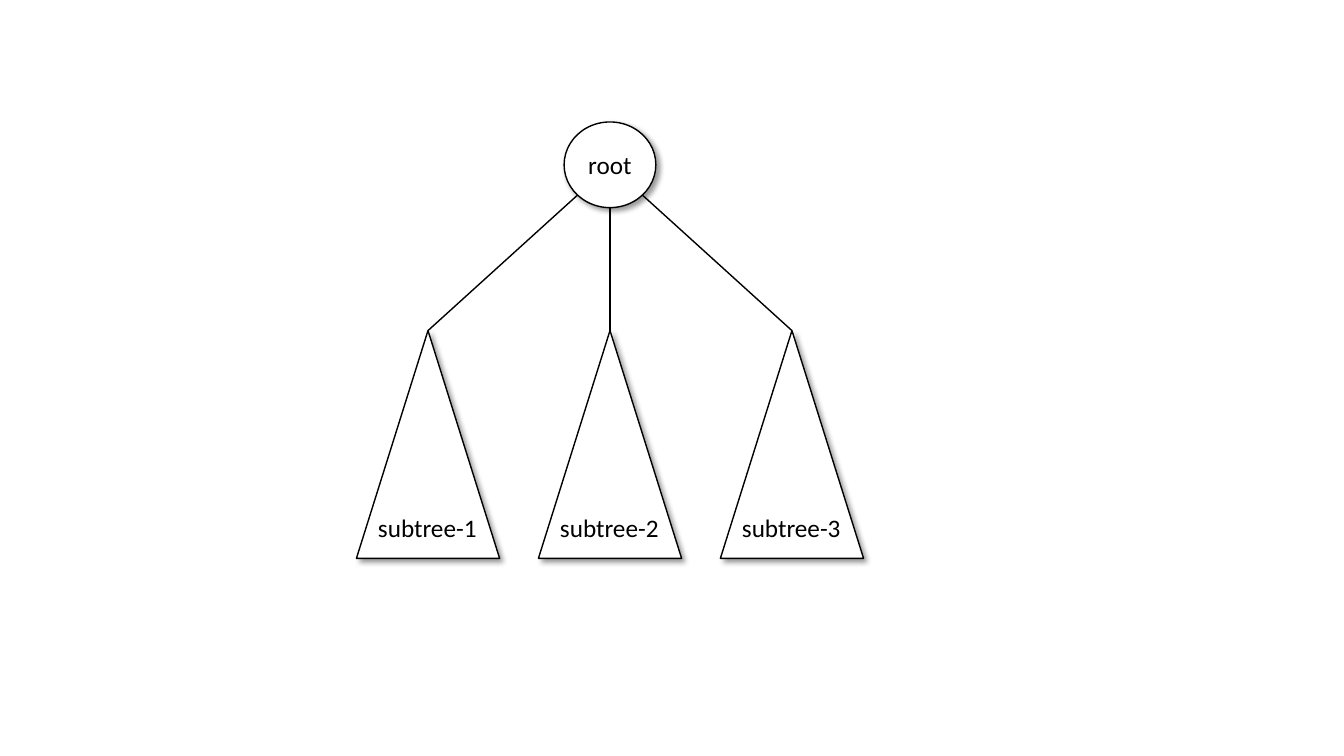
"""Draw a root node joined to three subtrees."""
from lxml import etree
from pptx import Presentation
from pptx.dml.color import RGBColor
from pptx.enum.shapes import MSO_CONNECTOR, MSO_SHAPE
from pptx.enum.text import MSO_ANCHOR, MSO_AUTO_SIZE, PP_ALIGN
from pptx.oxml import parse_xml
from pptx.oxml.ns import nsdecls, qn
from pptx.util import Inches, Pt

OVAL, TRIANGLE = MSO_SHAPE.OVAL, MSO_SHAPE.ISOSCELES_TRIANGLE
STRAIGHT = MSO_CONNECTOR.STRAIGHT
MIDDLE, CENTER, LEFT = MSO_ANCHOR.MIDDLE, PP_ALIGN.CENTER, PP_ALIGN.LEFT
FIT_SHAPE = MSO_AUTO_SIZE.SHAPE_TO_FIT_TEXT
COLORS = {"paper": "FFFFFF", "ink": "000000"}
INK = RGBColor.from_string(COLORS["ink"])
PAPER = RGBColor.from_string(COLORS["paper"])

CENTER_X, COLUMN_STEP = 6.05, 1.805
ROOT_TOP, ROOT_WIDTH, ROOT_HEIGHT = 1.21, 0.91, 0.85
SUBTREE_TOP, SUBTREE_WIDTH, SUBTREE_HEIGHT = 3.28, 1.42, 2.26
LABEL_TOP, LABEL_WIDTH, LABEL_HEIGHT = 5.03, 1.19, 0.4
DIAGONAL = 0.5 ** 0.5

presentation = Presentation()
presentation.slide_width, presentation.slide_height = Inches(13.33), Inches(7.5)
slide = presentation.slides.add_slide(presentation.slide_layouts[6])


def write(text_frame, text, alignment=LEFT, size=18, font="Calibri"):
    paragraph = text_frame.paragraphs[0]
    paragraph.alignment = alignment
    run = paragraph.add_run()
    run.text = text
    run.font.size, run.font.name = Pt(size), font
    run.font.color.rgb = INK


def add_node(preset, center, top, width, height):
    shape = slide.shapes.add_shape(preset, Inches(center - width / 2), Inches(top),
                                   Inches(width), Inches(height))
    shape.fill.solid()
    shape.fill.fore_color.rgb = PAPER
    shape.line.color.rgb = INK
    shape.line.width = Pt(1)
    shape._element.spPr.append(parse_xml(
        f'<a:effectLst {nsdecls("a")}>'
        f'<a:outerShdw blurRad="{Pt(4)}" dist="{Pt(3)}" dir="{45 * 60000}" algn="tl" rotWithShape="0">'
        f'<a:srgbClr val="{COLORS["ink"]}"><a:alpha val="40000"/></a:srgbClr>'
        '</a:outerShdw></a:effectLst>'))
    return shape


root = add_node(OVAL, CENTER_X, ROOT_TOP, ROOT_WIDTH, ROOT_HEIGHT)
frame = root.text_frame
frame.margin_left = frame.margin_right = frame.margin_top = frame.margin_bottom = 0
frame.vertical_anchor = MIDDLE
write(frame, "root", alignment=CENTER)

columns = [(side, CENTER_X + side * COLUMN_STEP) for side in (-1, 0, 1)]
for side, center in columns:
    add_node(TRIANGLE, center, SUBTREE_TOP, SUBTREE_WIDTH, SUBTREE_HEIGHT)

for side, center in columns:
    drop = DIAGONAL if side else 1
    start_x = CENTER_X + side * DIAGONAL * ROOT_WIDTH / 2
    start_y = ROOT_TOP + ROOT_HEIGHT / 2 * (1 + drop)
    branch = slide.shapes.add_connector(STRAIGHT, Inches(start_x), Inches(start_y),
                                        Inches(center), Inches(SUBTREE_TOP))
    branch.line.color.rgb = INK
    branch.line.width = Pt(1)
    etree.SubElement(branch._element.spPr, qn("a:effectLst"))

for number, (side, center) in enumerate(columns, start=1):
    label = slide.shapes.add_textbox(Inches(center - LABEL_WIDTH / 2), Inches(LABEL_TOP),
                                     Inches(LABEL_WIDTH), Inches(LABEL_HEIGHT))
    label.text_frame.word_wrap = False
    label.text_frame.auto_size = FIT_SHAPE
    write(label.text_frame, f"subtree-{number}")

presentation.save("out.pptx")
